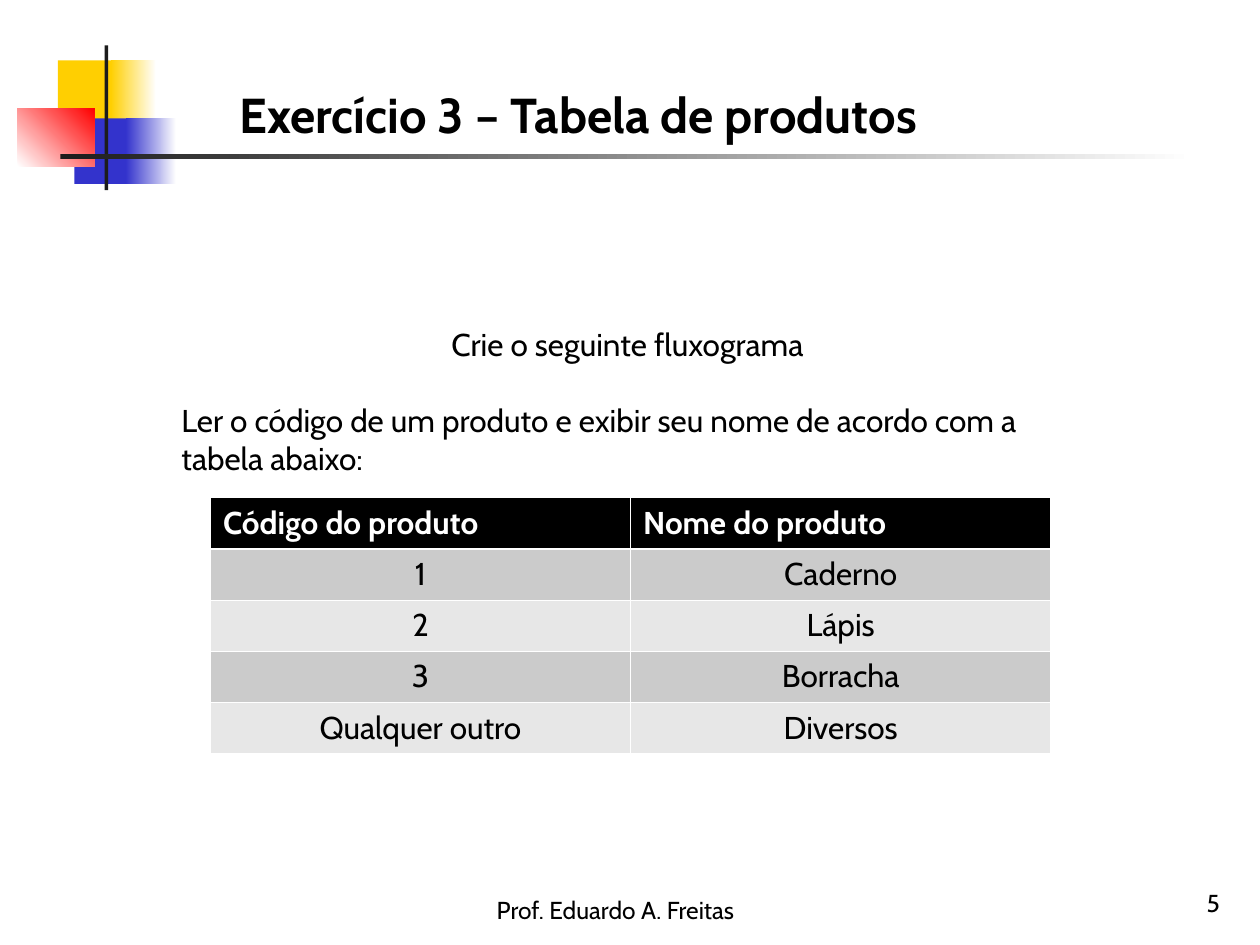
from dataclasses import dataclass

from lxml import etree
from pptx import Presentation
from pptx import util as u
from pptx.dml.color import RGBColor
from pptx.enum import shapes, text
from pptx.oxml import ns


@dataclass(frozen=True)
class Theme:
    font: str = "Cabin"
    black: str = "000000"
    white: str = "FFFFFF"
    yellow: str = "FFCF01"
    blue: str = "3333CC"
    red: str = "FF0000"
    rule: str = "1C1C1C"
    bands: tuple = ("CBCBCB", "E7E7E7")
    title_size: int = 28
    body_size: int = 18
    footer_size: int = 14
    thin_border: float = 0.45
    thick_border: float = 1.47


THEME = Theme()
LEFT, CENTER, RIGHT = (text.PP_ALIGN.LEFT, text.PP_ALIGN.CENTER,
                       text.PP_ALIGN.RIGHT)


def write(paragraph, words, size=THEME.body_size, color=THEME.black,
          bold=False, align=LEFT, before=0):
    paragraph.alignment = align
    paragraph.space_before = u.Pt(before)
    run = paragraph.add_run()
    run.text = words
    run.font.name = THEME.font
    run.font.size = u.Pt(size)
    run.font.bold = bold
    run.font.color.rgb = RGBColor.from_string(color)


def place(shape, box):
    shape.left, shape.top, shape.width, shape.height = map(u.Inches, box)


def prepare_frame(shape, anchor, wrap=True):
    frame = shape.text_frame
    frame.word_wrap = wrap
    frame.auto_size = text.MSO_AUTO_SIZE.NONE
    frame.vertical_anchor = anchor
    return frame


def add_ornament(slide, box):
    """Overlapping colour blocks with a vertical bar and a fading rule."""
    left, top, width, height = box
    group = slide.shapes.add_group_shape()
    # Offset and size in the box, start colour, end colour, angle
    blocks = (
        (0.32, 0.12, 0.48, 0.52, THEME.yellow, None, 0),
        (0.74, 0.12, 0.36, 0.52, THEME.yellow, THEME.white, 0),
        (0.45, 0.58, 0.46, 0.52, THEME.blue, None, 0),
        (0.86, 0.58, 0.40, 0.52, THEME.blue, THEME.white, 0),
        (0, 0.50, 0.61, 0.46, THEME.white, THEME.red, 45),
        (0.69, 0, 0.03, height, THEME.rule, None, 0),
        (0.34, 0.86, width - 0.34, 0.04, THEME.rule, THEME.white, 0),
    )
    for x, y, block_width, block_height, start, end, angle in blocks:
        shape = group.shapes.add_shape(
            shapes.MSO_SHAPE.RECTANGLE, u.Inches(left + x), u.Inches(top + y),
            u.Inches(block_width), u.Inches(block_height))
        shape.shadow.inherit = False
        shape.line.fill.background()
        if end is None:
            shape.fill.solid()
            shape.fill.fore_color.rgb = RGBColor.from_string(start)
        else:
            shape.fill.gradient()
            shape.fill.gradient_angle = angle
            for stop, color in zip(shape.fill.gradient_stops, (start, end)):
                stop.color.rgb = RGBColor.from_string(color)


def add_title(slide, box, words):
    title = slide.shapes.title
    place(title, box)
    frame = prepare_frame(title, text.MSO_ANCHOR.TOP, wrap=False)
    write(frame.paragraphs[0], words, size=THEME.title_size, bold=True)


def add_instructions(slide, box, heading, task):
    body = slide.placeholders[1]
    place(body, box)
    frame = prepare_frame(body, text.MSO_ANCHOR.TOP)
    write(frame.paragraphs[0], heading, align=CENTER)
    write(frame.add_paragraph(), task, before=22)
    for paragraph in frame.paragraphs:
        properties = paragraph._p.get_or_add_pPr()
        properties.set("marL", "0")
        properties.set("indent", "0")
        etree.SubElement(properties, ns.qn("a:buNone"))


def set_border(cell, side, width):
    line = etree.SubElement(cell._tc.get_or_add_tcPr(), ns.qn(f"a:ln{side}"),
                            w=str(int(u.Pt(width))))
    fill = etree.SubElement(line, ns.qn("a:solidFill"))
    etree.SubElement(fill, ns.qn("a:srgbClr"), val=THEME.white)


def add_product_table(slide, box, rows):
    table = slide.shapes.add_table(
        len(rows), len(rows[0]), *map(u.Inches, box)).table
    table.horz_banding = False
    for row_index, row in enumerate(rows):
        header = row_index == 0
        # The line under the header is the only thick one
        widths = {"L": THEME.thin_border, "R": THEME.thin_border,
                  "T": THEME.thick_border if row_index == 1
                  else THEME.thin_border,
                  "B": THEME.thick_border if header else THEME.thin_border}
        color = THEME.black if header else THEME.bands[(row_index - 1) % 2]
        for column_index, words in enumerate(row):
            cell = table.cell(row_index, column_index)
            for side, width in widths.items():
                set_border(cell, side, width)
            cell.fill.solid()
            cell.fill.fore_color.rgb = RGBColor.from_string(color)
            write(cell.text_frame.paragraphs[0], words, bold=header,
                  color=THEME.white if header else THEME.black,
                  align=LEFT if header else CENTER)


def add_footer(slide, box, words, align):
    shape = slide.shapes.add_textbox(*map(u.Inches, box))
    frame = prepare_frame(shape, text.MSO_ANCHOR.BOTTOM)
    write(frame.paragraphs[0], words, size=THEME.footer_size, align=align)


def main():
    presentation = Presentation()
    presentation.slide_width = u.Inches(10)
    presentation.slide_height = u.Inches(7.5)
    slide = presentation.slides.add_slide(presentation.slide_layouts[1])

    # Header
    add_ornament(slide, (0.14, 0.36, 9.34, 1.15))
    add_title(slide, (1.8, 0.62, 6.47, 0.57),
              "Exercício 3 – Tabela de produtos")

    # Exercise
    add_instructions(
        slide, (1.34, 2.53, 7.28, 1.9), "Crie o seguinte fluxograma",
        "Ler o código de um produto e exibir seu nome de acordo com a "
        "tabela abaixo:")
    add_product_table(slide, (1.67, 3.95, 6.67, 2.03), (
        ("Código do produto", "Nome do produto"),
        ("1", "Caderno"),
        ("2", "Lápis"),
        ("3", "Borracha"),
        ("Qualquer outro", "Diversos"),
    ))

    # Footer
    add_footer(slide, (3.3, 6.89, 3.17, 0.5), "Prof. Eduardo A. Freitas",
               CENTER)
    add_footer(slide, (7.7, 6.83, 2.08, 0.5), "5", RIGHT)

    presentation.save("out.pptx")


if __name__ == "__main__":
    main()
